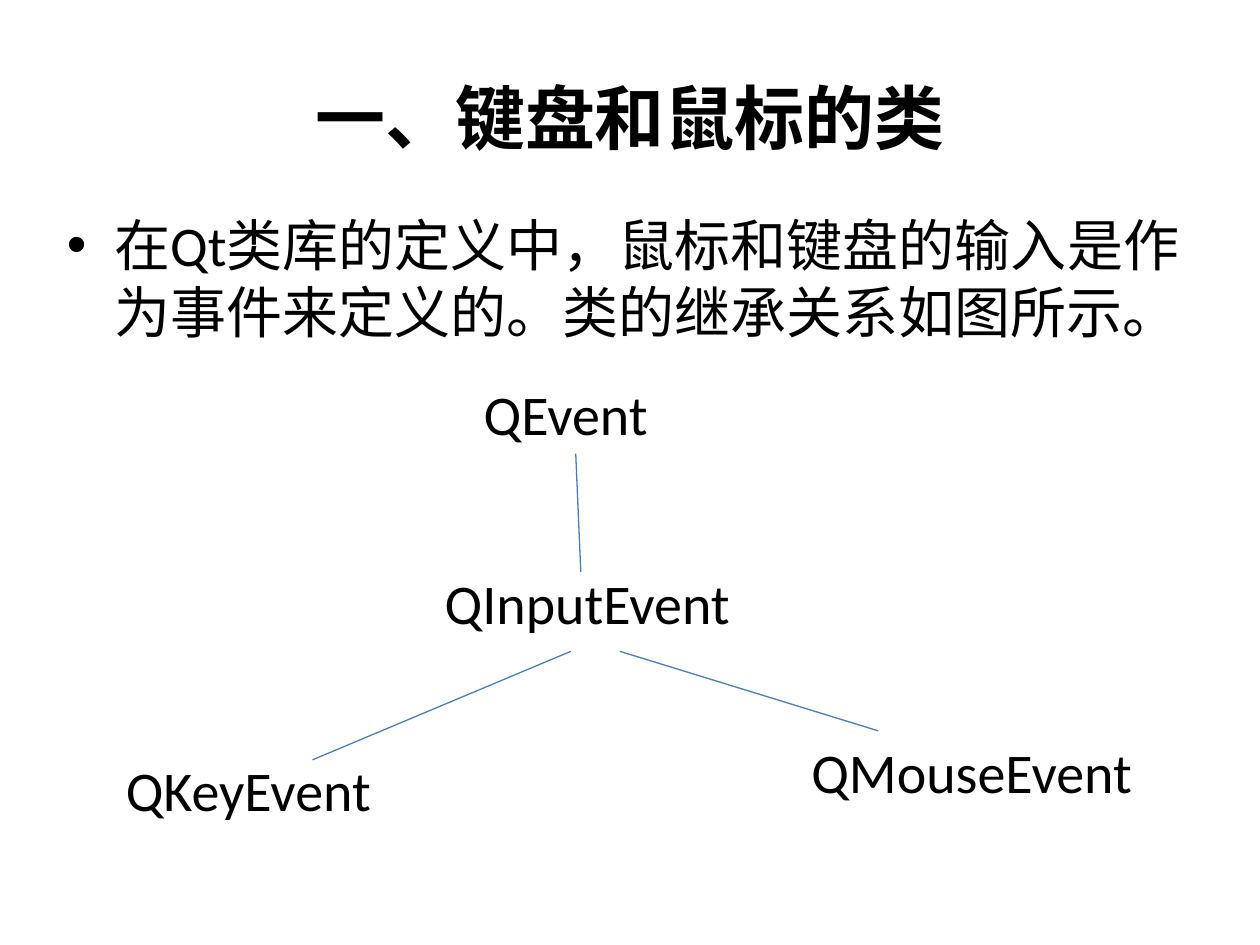
from dataclasses import dataclass

from pptx import Presentation
from pptx.dml.color import RGBColor
from pptx.enum.shapes import MSO_CONNECTOR as Connector
from pptx.enum.text import MSO_ANCHOR as Anchor, MSO_AUTO_SIZE as AutoSize, PP_ALIGN as Align
from pptx.oxml.ns import qn
from pptx.util import Pt


@dataclass(frozen=True)
class Theme:
    font: str = "Calibri"
    text: RGBColor = RGBColor(0, 0, 0)
    line: RGBColor = RGBColor(0x4A, 0x7E, 0xBB)
    title_size: int = 40
    body_size: int = 32
    line_width: float = 0.75


THEME = Theme()
TITLE = "一、键盘和鼠标的类"
INTRO = "在Qt类库的定义中，鼠标和键盘的输入是作为事件来定义的。类的继承关系如图所示。"
LABEL_HEIGHT = 46
CLASS_LABELS = [
    ("QEvent", 269.3, 213.1, 118.8),
    ("QInputEvent", 247, 321.1, 193),
    ("QKeyEvent", 64.8, 428.4, 169.9),
    ("QMouseEvent", 456.5, 417.6, 209.5),
]
INHERITANCE_LINES = [
    ((329, 259.2), (331.9, 326.9)),
    ((326.2, 372.2), (178.6, 434.2)),
    ((354.2, 372.2), (501.8, 417.6)),
]


def write(box, text, size, bold=False, align=Align.LEFT):
    para = box.text_frame.paragraphs[0]
    para.alignment = align
    para.space_before = Pt(0)
    span = para.add_run()
    span.text = text
    span.font.name = THEME.font
    span.font.size = Pt(size)
    span.font.bold = bold
    span.font.color.rgb = THEME.text


def place(box, left, top, width, height):
    box.left, box.top, box.width, box.height = map(Pt, (left, top, width, height))
    box.text_frame.auto_size = AutoSize.NONE


def add_title(page):
    box = page.shapes.title
    place(box, 36, 21.6, 648, 90)
    box.text_frame.vertical_anchor = Anchor.MIDDLE
    write(box, TITLE, THEME.title_size, bold=True, align=Align.CENTER)


def add_intro(page):
    box = page.placeholders[1]
    place(box, 31, 116.6, 658.8, 92.9)
    write(box, INTRO, THEME.body_size)


def add_class_label(page, name, left, top, width):
    box = page.shapes.add_textbox(Pt(left), Pt(top), Pt(width), Pt(LABEL_HEIGHT))
    box.text_frame.word_wrap = True
    box.text_frame.auto_size = AutoSize.SHAPE_TO_FIT_TEXT
    write(box, name, THEME.body_size)


def add_inheritance_line(page, start, end):
    line = page.shapes.add_connector(Connector.STRAIGHT, *map(Pt, (*start, *end)))
    line.line.color.rgb = THEME.line
    line.line.width = Pt(THEME.line_width)
    properties = line._element.spPr
    properties.append(properties.makeelement(qn("a:effectLst"), {}))


def main():
    deck = Presentation()
    deck.slide_width, deck.slide_height = Pt(720), Pt(540)
    page = deck.slides.add_slide(deck.slide_layouts[1])
    add_title(page)
    add_intro(page)
    for label in CLASS_LABELS:
        add_class_label(page, *label)
    for start, end in INHERITANCE_LINES:
        add_inheritance_line(page, start, end)
    deck.save("out.pptx")


if __name__ == "__main__":
    main()
